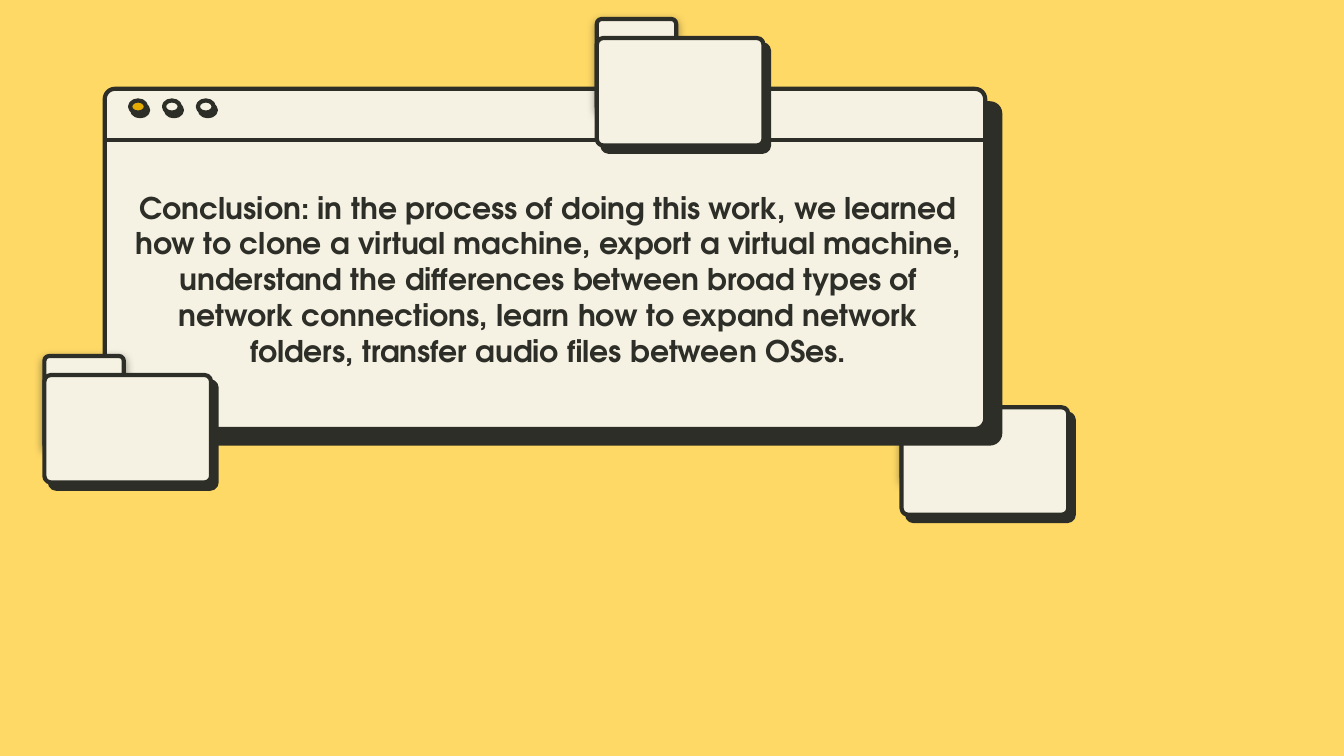
import pptx
import pptx.util
import pptx.dml.color
import pptx.enum.shapes
import pptx.enum.text
import pptx.oxml
import pptx.oxml.ns
from dataclasses import dataclass
from lxml import etree

Cm = pptx.util.Cm
Pt = pptx.util.Pt
RGB = pptx.dml.color.RGBColor.from_string
SHAPE = pptx.enum.shapes.MSO_SHAPE
qn = pptx.oxml.ns.qn


@dataclass(frozen=True)
class Theme:
    background: str = "FFD966"
    paper: str = "F6F2E3"
    ink: str = "2D2E27"
    accent: str = "E4AB00"
    font: str = "TeX Gyre Adventor"
    text_size: int = 16
    line_width: float = 2.25


theme = Theme()


def add_panel(shapes, kind, left, top, width, height, shadow, fill=theme.paper, radius=None):
    sp = shapes.add_shape(kind, Cm(left), Cm(top), Cm(width), Cm(height))
    if radius is not None:
        sp.adjustments[0] = radius
    sp.fill.solid()
    sp.fill.fore_color.rgb = RGB(fill)
    sp.line.color.rgb = RGB(theme.ink)
    sp.line.width = Pt(theme.line_width)
    sp.shadow.inherit = False
    alpha, blur, dist, angle = shadow
    effects = sp._element.spPr.find(qn("a:effectLst"))
    outer = etree.SubElement(
        effects, qn("a:outerShdw"), blurRad=str(Pt(blur)), dist=str(Pt(dist)),
        dir=str(angle * 60000), algn="bl", rotWithShape="0")
    color = etree.SubElement(outer, qn("a:srgbClr"), val=theme.ink)
    etree.SubElement(color, qn("a:alpha"), val=str(alpha * 1000))


def add_folder(shapes, left, top):
    folder = shapes.add_group_shape().shapes
    add_panel(folder, SHAPE.ROUNDED_RECTANGLE, left, top, 1.5, 1.75, (50, 4.5, 1.5, 90), radius=0.06)
    add_panel(folder, SHAPE.ROUNDED_RECTANGLE, left, top + 0.36, 3.15, 2.03, (100, 0, 4.5, 49), radius=0.06)


prs = pptx.Presentation()
prs.slide_width = Cm(25.4)
prs.slide_height = Cm(14.29)
s = prs.slides.add_slide(prs.slide_layouts[6])
s.background.fill.solid()
s.background.fill.fore_color.rgb = RGB(theme.background)

add_folder(s.shapes, 17.04, 7.34)

left, top, width, height = 1.98, 1.68, 16.64, 6.43
window = s.shapes.add_group_shape().shapes
add_panel(window, SHAPE.ROUNDED_RECTANGLE, left, top, width, height, (100, 0, 11.2, 44), radius=0.03)
bar = window.add_connector(
    pptx.enum.shapes.MSO_CONNECTOR.STRAIGHT,
    Cm(left), Cm(top + 0.96), Cm(left + width), Cm(top + 0.96))
bar.line.color.rgb = RGB(theme.ink)
bar.line.width = Pt(theme.line_width)
etree.SubElement(bar._element.spPr, qn("a:effectLst"))
for i, fill in enumerate([theme.accent, theme.paper, theme.paper]):
    add_panel(window, SHAPE.OVAL, 2.46 + i * 0.64, 1.9, 0.3, 0.23, (100, 0, 2.2, 60), fill)

for x, y in [(0.84, 6.73), (11.28, 0.36)]:
    add_folder(s.shapes, x, y)

tf = s.shapes.add_textbox(Cm(2.26), Cm(3.33), Cm(16.21), Cm(3.1)).text_frame
tf.word_wrap = True
tf.margin_left = tf.margin_right = tf.margin_top = tf.margin_bottom = Cm(0.25)
tf.vertical_anchor = pptx.enum.text.MSO_ANCHOR.TOP
tf.text = (
    "Conclusion: in the process of doing this work, we learned how to clone a virtual machine, "
    "export a virtual machine, understand the differences between broad types of network "
    "connections, learn how to expand network folders, transfer audio files between OSes.")
p = tf.paragraphs[0]
p.alignment = pptx.enum.text.PP_ALIGN.CENTER
r = p.runs[0]
r.font.name = theme.font
r.font.size = Pt(theme.text_size)
r.font.bold = True
r.font.color.rgb = RGB(theme.ink)

prs.save("out.pptx")
